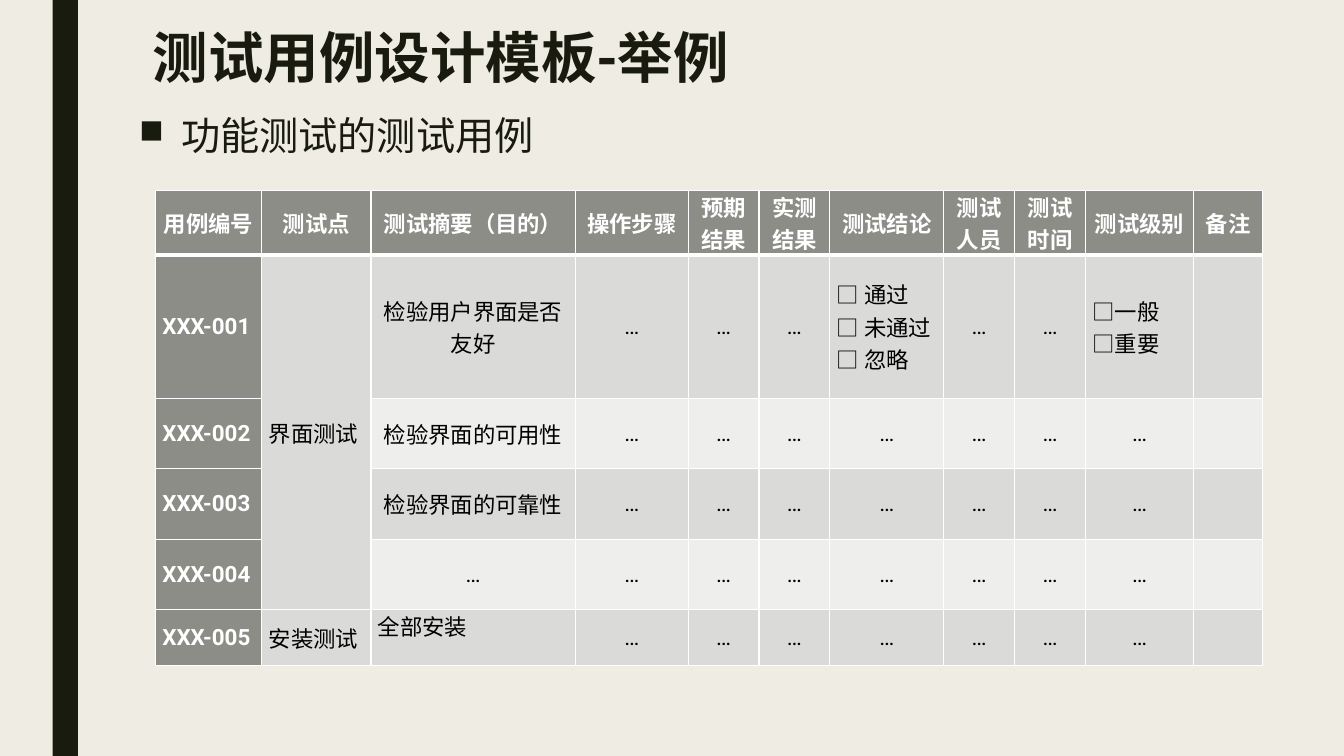
import pptx
import pptx.dml.color
import pptx.enum.shapes
import pptx.enum.text
import pptx.oxml.ns
import pptx.util
from lxml import etree

Pt = pptx.util.Pt
ALIGN = pptx.enum.text.PP_ALIGN
ANCHOR = pptx.enum.text.MSO_ANCHOR
qn = pptx.oxml.ns.qn

FONT = "Roboto"
INK, PAPER, WHITE, BLACK = "191B0E", "EFEDE3", "FFFFFF", "000000"
HEAD, BAND_DARK, BAND_LIGHT = "8C8D86", "DADBD9", "EEEEED"

COL_WIDTHS = [76, 78, 146, 80.6, 50.6, 50.6, 81.4, 50.6, 50.6, 77.2, 49.4]
ROW_HEIGHTS = [46, 102.4, 50.4, 50.4, 50.4, 39.6]
HEADERS = ["用例编号", "测试点", "测试摘要（目的）", "操作步骤", "预期结果", "实测结果",
           "测试结论", "测试人员", "测试时间", "测试级别", "备注"]
VERDICTS = "□ 通过\n□ 未通过\n□ 忽略"
LEVELS = "□一般\n□重要"
CASES = [  # test point, summary, verdict, level
    ("界面测试", "检验用户界面是否友好", VERDICTS, LEVELS),
    ("", "检验界面的可用性", "…", "…"),
    ("", "检验界面的可靠性", "…", "…"),
    ("", "…", "…", "…"),
    ("安装测试", "全部安装", "…", "…"),
]


def rgb(value):
    return pptx.dml.color.RGBColor.from_string(value)


def format_text(tf, size, color, bold, align):
    for p in tf.paragraphs:
        p.alignment = align
        for r in p.runs:
            r.font.name = FONT
            r.font.size = Pt(size)
            r.font.bold = bold
            r.font.color.rgb = rgb(color)


def add_side_bar(slide):
    sp = slide.shapes.add_shape(pptx.enum.shapes.MSO_SHAPE.RECTANGLE,
                                Pt(37.6), 0, Pt(18), Pt(540))
    sp.shadow.inherit = False
    sp.fill.solid()
    sp.fill.fore_color.rgb = rgb(INK)
    sp.line.fill.background()


def add_text(slide, text, left, top, width, height, size, bold, anchor, spacing):
    """Add a one-paragraph text box and return its paragraph."""
    tf = slide.shapes.add_textbox(Pt(left), Pt(top), Pt(width), Pt(height)).text_frame
    tf.word_wrap = True
    tf.vertical_anchor = anchor
    tf.text = text
    format_text(tf, size, INK, bold, ALIGN.LEFT)
    p = tf.paragraphs[0]
    p.line_spacing = spacing
    return p


def add_bullet(p, char, indent, percent):
    pPr = p._p.get_or_add_pPr()
    pPr.set("marL", str(Pt(indent)))
    pPr.set("indent", str(-Pt(indent)))
    etree.SubElement(pPr, qn("a:buSzPct")).set("val", str(percent * 1000))
    etree.SubElement(pPr, qn("a:buChar")).set("char", char)


def set_borders(cell, widths):
    """Draw white borders; widths maps L, R, T and B to points."""
    tcPr = cell._tc.get_or_add_tcPr()
    for side in "LRTB":
        ln = etree.SubElement(tcPr, qn("a:ln" + side), w=str(Pt(widths[side])))
        fill = etree.SubElement(ln, qn("a:solidFill"))
        etree.SubElement(fill, qn("a:srgbClr")).set("val", WHITE)


def style_cell(cell, row, col):
    set_borders(cell, {"L": 1, "R": 1, "T": 1, "B": 3 if row == 0 else 1})
    is_head = row == 0 or col == 0
    band = BAND_DARK if row % 2 or col == 1 else BAND_LIGHT
    cell.fill.solid()
    cell.fill.fore_color.rgb = rgb(HEAD if is_head else band)
    cell.margin_left = cell.margin_right = Pt(5)
    cell.margin_top = cell.margin_bottom = 0
    text = cell.text_frame.text
    is_summary = text == "全部安装"
    cell.vertical_anchor = ANCHOR.TOP if is_summary else ANCHOR.MIDDLE
    flush = row > 0 and (col < 2 or is_summary or text in (VERDICTS, LEVELS))
    format_text(cell.text_frame, 16, WHITE if is_head else BLACK, is_head,
                ALIGN.LEFT if flush else ALIGN.CENTER)


def add_case_table(slide):
    rows = [HEADERS]
    for number, (point, summary, verdict, level) in enumerate(CASES, 1):
        rows.append([f"XXX-{number:03}", point, summary, "…", "…", "…",
                     verdict, "…", "…", level, ""])
    table = slide.shapes.add_table(len(rows), len(HEADERS), Pt(111), Pt(136),
                                   Pt(sum(COL_WIDTHS)), Pt(sum(ROW_HEIGHTS))).table
    table.horz_banding = False
    for column, width in zip(table.columns, COL_WIDTHS):
        column.width = Pt(width)
    for table_row, height in zip(table.rows, ROW_HEIGHTS):
        table_row.height = Pt(height)
    for row, texts in enumerate(rows):
        for col, text in enumerate(texts):
            cell = table.cell(row, col)
            cell.text_frame.text = text
            style_cell(cell, row, col)
    table.cell(1, 1).merge(table.cell(4, 1))


def main():
    prs = pptx.Presentation()
    prs.slide_width, prs.slide_height = Pt(960), Pt(540)
    slide = prs.slides.add_slide(prs.slide_layouts[6])
    slide.background.fill.solid()
    slide.background.fill.fore_color.rgb = rgb(PAPER)

    add_side_bar(slide)
    add_text(slide, "测试用例设计模板-举例", 102.2, 20.8, 756, 44.6,
             39.6, True, ANCHOR.MIDDLE, 0.89)
    p = add_text(slide, "功能测试的测试用例", 92.2, 78.5, 771.8, 420.5,
                 28, False, ANCHOR.TOP, 0.94)
    p.space_before, p.space_after = Pt(10), Pt(2)
    add_bullet(p, "■", 30.2, 85)
    add_case_table(slide)
    prs.save("out.pptx")


if __name__ == "__main__":
    main()
